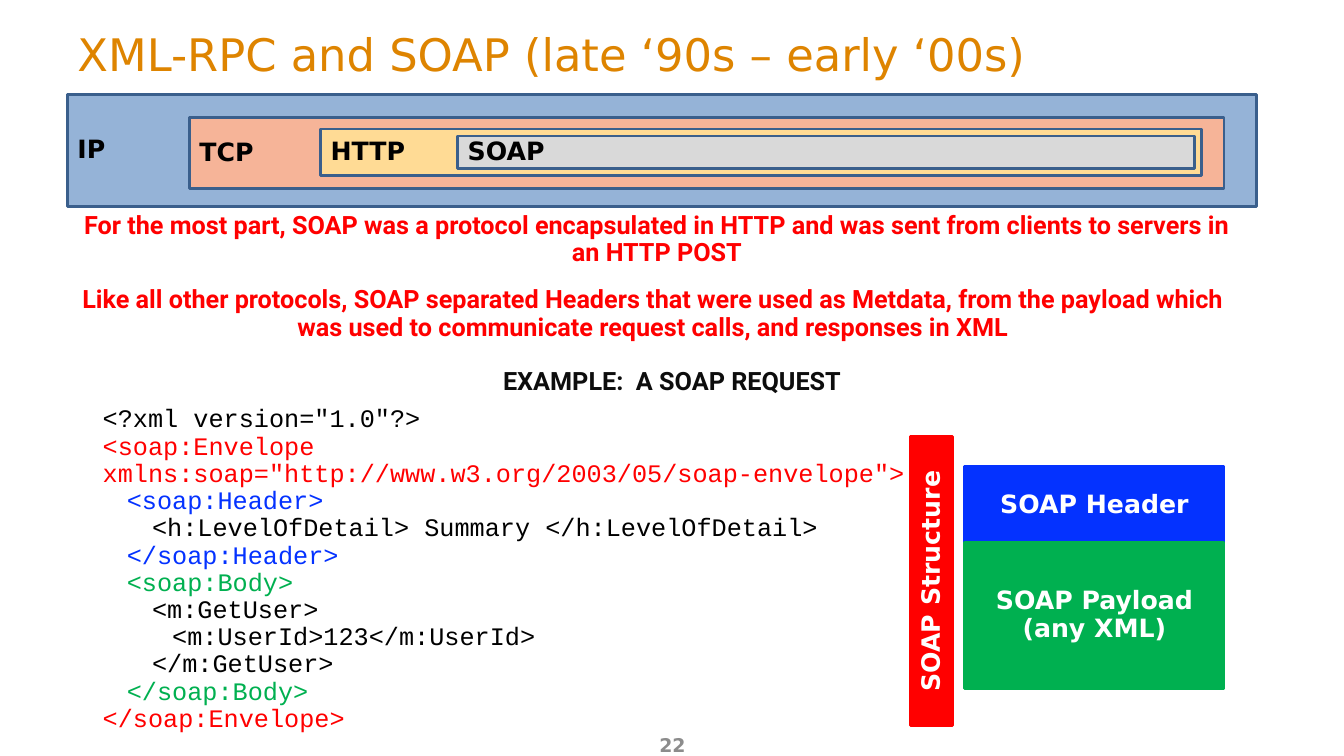
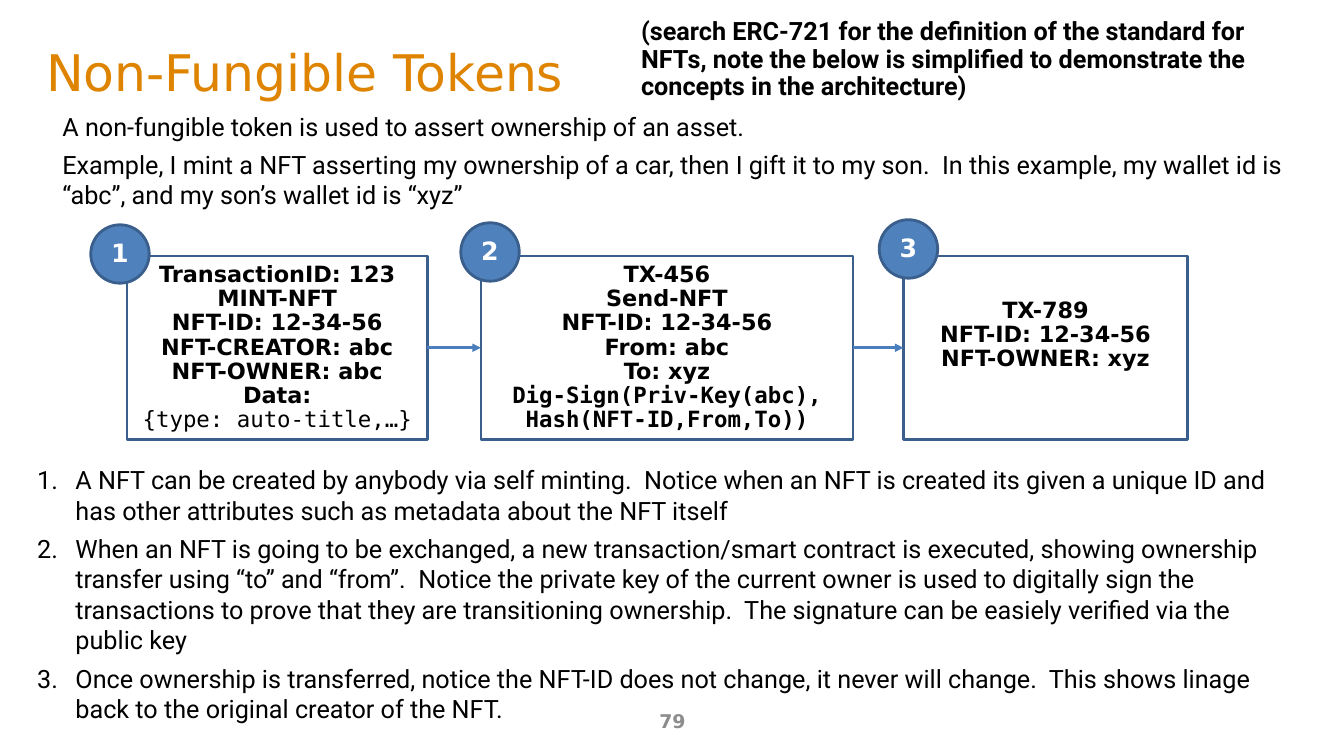
from dataclasses import dataclass

from lxml.etree import SubElement
from pptx import Presentation
from pptx.dml.color import RGBColor
from pptx.enum.shapes import MSO_CONNECTOR as Connector, MSO_SHAPE as Shape
from pptx.enum.text import MSO_ANCHOR as Anchor, PP_ALIGN as Align
from pptx.oxml.ns import qn
from pptx.util import Inches, Pt


@dataclass(frozen=True)
class Theme:
    title: str = "DE8400"
    footer: str = "8C8C8C"
    black: str = "000000"
    heading: str = "0D0D0D"
    white: str = "FFFFFF"
    outline: str = "3A5F8C"
    arrow: str = "4B7EBC"
    badge: str = "4F81BD"
    red: str = "FF0000"
    blue: str = "0432FF"
    green: str = "00B050"
    ip: str = "95B3D7"
    tcp: str = "F6B498"
    http: str = "FFDB95"
    soap: str = "D9D9D9"
    sans: str = "DejaVu Sans"
    mono: str = "DejaVu Sans Mono"
    body: str = "Roboto"
    code: str = "Courier New"
    body_size: float = 18
    node_size: float = 16
    footer_size: float = 13.5
    line_width: float = 2
    tight: float = 0.9


THEME = Theme()


@dataclass(frozen=True)
class Box:
    x: float
    y: float
    w: float
    h: float

    def inner(self, dx, dy, w, h):
        return Box(self.x + dx, self.y + dy, w, h)

    def lengths(self):
        return [Inches(value) for value in (self.x, self.y, self.w, self.h)]


def add_span(para, text, *, font, size, color, bold):
    """Add text to a paragraph, turning newlines into line breaks."""
    for index, line in enumerate(text.split("\n")):
        if index:
            para.add_line_break()
        if line:
            span = para.add_run()
            span.text = line
            span.font.name = font
            span.font.size = Pt(size)
            span.font.bold = bold
            span.font.color.rgb = RGBColor.from_string(color)


def write(frame, paras, *, font=THEME.body, size=THEME.body_size, color=THEME.black,
          bold=False, align=Align.LEFT, spacing=None, after=None, anchor=Anchor.TOP,
          wrap=True, tabs=(), numbered=False):
    """Fill a frame; a paragraph is a string or a list of (text, overrides)."""
    base = dict(font=font, size=size, color=color, bold=bold)
    frame.word_wrap = wrap
    frame.vertical_anchor = anchor
    for index, content in enumerate(paras):
        para = frame.add_paragraph() if index else frame.paragraphs[0]
        para.alignment = align
        if spacing:
            para.line_spacing = spacing
        if after:
            para.space_after = Pt(after)
        props = para._p.get_or_add_pPr()
        if numbered:
            props.set("marL", str(Inches(0.38)))
            props.set("indent", str(-Inches(0.38)))
            SubElement(props, qn("a:buFont"), typeface="+mj-lt")
            SubElement(props, qn("a:buAutoNum"), type="arabicPeriod")
        if tabs:
            stops = SubElement(props, qn("a:tabLst"))
            for stop in tabs:
                SubElement(stops, qn("a:tab"), pos=str(Inches(stop)), algn="l")
        spans = [(content, {})] if isinstance(content, str) else content
        for text, changes in spans:
            add_span(para, text, **{**base, **changes})


def add_text(page, box, paras, **style):
    write(page.shapes.add_textbox(*box.lengths()).text_frame, paras, **style)


def add_block(page, box, paras, *, kind=Shape.RECTANGLE, fill=None,
              line=THEME.outline, **style):
    """Outlined shape with bold, vertically centred text."""
    shape = page.shapes.add_shape(kind, *box.lengths())
    shape.shadow.inherit = False
    if fill:
        shape.fill.solid()
        shape.fill.fore_color.rgb = RGBColor.from_string(fill)
    else:
        shape.fill.background()
    shape.line.color.rgb = RGBColor.from_string(line)
    shape.line.width = Pt(THEME.line_width)
    defaults = dict(font=THEME.sans, bold=True, align=Align.CENTER,
                    spacing=THEME.tight, anchor=Anchor.MIDDLE)
    write(shape.text_frame, paras, **{**defaults, **style})
    return shape


def add_arrow(page, source, target):
    """Arrow from the right side of one node to the left side of the next."""
    arrow = page.shapes.add_connector(Connector.STRAIGHT, 0, 0, 0, 0)
    arrow.begin_connect(source, 3)
    arrow.end_connect(target, 1)
    arrow.line.color.rgb = RGBColor.from_string(THEME.arrow)
    arrow.line.width = Pt(THEME.line_width)
    SubElement(arrow.line._get_or_add_ln(), qn("a:tailEnd"), type="triangle")
    SubElement(arrow._element.spPr, qn("a:effectLst"))


def add_page(deck, title, title_box, title_size, number, number_top):
    page = deck.slides.add_slide(deck.slide_layouts[6])
    add_text(page, Box(4.56, number_top, 4.22, 0.4), [number], font=THEME.sans,
             size=THEME.footer_size, color=THEME.footer, bold=True,
             align=Align.CENTER, anchor=Anchor.MIDDLE)
    add_text(page, title_box, [title], font=THEME.sans, size=title_size,
             color=THEME.title, anchor=Anchor.MIDDLE)
    return page


def add_protocol_stack(page, box):
    """Protocol layers nested inside one another."""
    layers = [
        ("IP", THEME.ip, box),
        ("TCP", THEME.tcp, box.inner(1.21, 0.23, 10.26, 0.7)),
        ("HTTP", THEME.http, box.inner(2.51, 0.34, 8.74, 0.46)),
        ("SOAP", THEME.soap, box.inner(3.87, 0.41, 7.31, 0.32)),
    ]
    for name, fill, layer in layers:
        add_block(page, layer, [name], fill=fill, align=Align.LEFT)


def add_request_code(page, box):
    lines = [
        ('<?xml version="1.0"?>', THEME.black),
        ('<soap:Envelope xmlns:soap="http://www.w3.org/2003/05/soap-envelope">', THEME.red),
        ("\t<soap:Header>", THEME.blue),
        ("\t\t<h:LevelOfDetail> Summary </h:LevelOfDetail>", THEME.black),
        ("\t</soap:Header>", THEME.blue),
        ("\t<soap:Body>", THEME.green),
        ("\t\t<m:GetUser>", THEME.black),
        ("\t\t\t<m:UserId>123</m:UserId>", THEME.black),
        ("\t\t</m:GetUser>", THEME.black),
        ("\t</soap:Body>", THEME.green),
        ("</soap:Envelope>", THEME.red),
    ]
    add_text(page, box, [[(text, {"color": color})] for text, color in lines],
             font=THEME.code, spacing=THEME.tight, tabs=(0.24, 0.49, 0.69))


def add_structure(page, box):
    """Upright label at the left, header and payload stacked at the right."""
    long, thick = box.h, 0.42
    label = box.inner((thick - long) / 2, (long - thick) / 2, long, thick)
    parts = [
        ("SOAP Structure", THEME.red, label, 270),
        ("SOAP Header", THEME.blue, box.inner(0.54, 0.3, 2.57, 0.76), 0),
        ("SOAP Payload\n(any XML)", THEME.green, box.inner(0.54, 1.05, 2.57, 1.45), 0),
    ]
    for text, color, place, angle in parts:
        block = add_block(page, place, [text], fill=color, line=color, color=THEME.white)
        block.rotation = angle


def build_soap_page(deck):
    page = add_page(deck, "XML-RPC and SOAP (late ‘90s – early ‘00s)",
                    Box(0.67, 0.15, 12, 0.76), 32, "22", 7.19)
    add_protocol_stack(page, Box(0.67, 0.94, 11.79, 1.11))
    statements = [
        (Box(0.62, 2.06, 11.79, 0.65), THEME.red,
         "For the most part, SOAP was a protocol encapsulated in HTTP and was sent "
         "from clients to servers in an HTTP POST"),
        (Box(0.58, 2.8, 11.79, 0.65), THEME.red,
         "Like all other protocols, SOAP separated Headers that were used as Metdata, "
         "from the payload which was used to communicate request calls, and responses "
         "in XML"),
        (Box(0.77, 3.61, 11.79, 0.38), THEME.heading, "EXAMPLE:  A SOAP REQUEST"),
    ]
    for box, color, text in statements:
        add_text(page, box, [text], color=color, bold=True, align=Align.CENTER,
                 spacing=THEME.tight)
    add_request_code(page, Box(0.92, 3.98, 8.53, 3.1))
    add_structure(page, Box(9.03, 4.33, 3.11, 2.87))


def add_transactions(page, box):
    """Chain of transaction nodes, each with a numbered badge at its corner."""
    mono = {"font": THEME.mono}
    chain = [
        (0, 2.98, (-0.36, -0.31), [
            "TransactionID: 123 MINT-NFT\nNFT-ID: 12-34-56",
            "NFT-CREATOR: abc",
            "NFT-OWNER: abc",
            [("Data:\n", {}), ("{type: auto-title,…}", {**mono, "bold": False})]]),
        (3.51, 3.69, (-0.2, -0.33), [
            "TX-456\nSend-NFT\nNFT-ID: 12-34-56",
            "From: abc",
            [("To: xyz\n", {}), ("Dig-Sign(Priv-Key(abc),\nHash(NFT-ID,From,To))", mono)]]),
        (7.7, 2.82, (-0.24, -0.36), [
            "TX-789",
            "NFT-ID: 12-34-56\nNFT-OWNER: xyz"]),
    ]
    nodes = [add_block(page, box.inner(left, 0, width, box.h), paras, size=THEME.node_size)
             for left, width, _, paras in chain]
    nodes[-1].text_frame.margin_bottom = Inches(0.3)
    for source, target in zip(nodes, nodes[1:]):
        add_arrow(page, source, target)
    for number, (left, _, (dx, dy), _) in enumerate(chain, 1):
        add_block(page, box.inner(left + dx, dy, 0.58, 0.58), [str(number)],
                  kind=Shape.OVAL, fill=THEME.badge, color=THEME.white)


def build_nft_page(deck):
    page = add_page(deck, "Non-Fungible Tokens", Box(0.36, 0.33, 11.96, 0.76), 36,
                    "79", 6.95)
    add_text(page, Box(0.52, 1.05, 12.69, 1.09), [
        "A non-fungible token is used to assert ownership of an asset.",
        "Example, I mint a NFT asserting my ownership of a car, then I gift it to my son.  "
        "In this example, my wallet id is “abc”, and my son’s wallet id is “xyz”",
    ], after=6)
    add_transactions(page, Box(1.26, 2.54, 10.52, 1.82))
    add_text(page, Box(0.27, 4.56, 12.69, 3.08), [
        "A NFT can be created by anybody via self minting.  Notice when an NFT is created "
        "its given a unique ID and has other attributes such as metadata about the NFT itself",
        "When an NFT is going to be exchanged, a new transaction/smart contract is executed, "
        "showing ownership transfer using “to” and “from”.  Notice the private key of the "
        "current owner is used to digitally sign the transactions to prove that they are "
        "transitioning ownership.  The signature can be easiely verified via the public key",
        "Once ownership is transferred, notice the NFT-ID does not change, it never will "
        "change.  This shows linage back to the original creator of the NFT.",
    ], after=6, numbered=True)
    add_text(page, Box(6.26, 0.14, 6.59, 0.92), [
        "(search ERC-721 for the definition of the standard for\n"
        "NFTs, note the below is simplified to demonstrate the\n"
        "concepts in the architecture)",
    ], bold=True, spacing=THEME.tight, wrap=False)


def main():
    deck = Presentation()
    deck.slide_width, deck.slide_height = Inches(13.33), Inches(7.5)
    build_soap_page(deck)
    build_nft_page(deck)
    deck.save("out.pptx")


if __name__ == "__main__":
    main()
